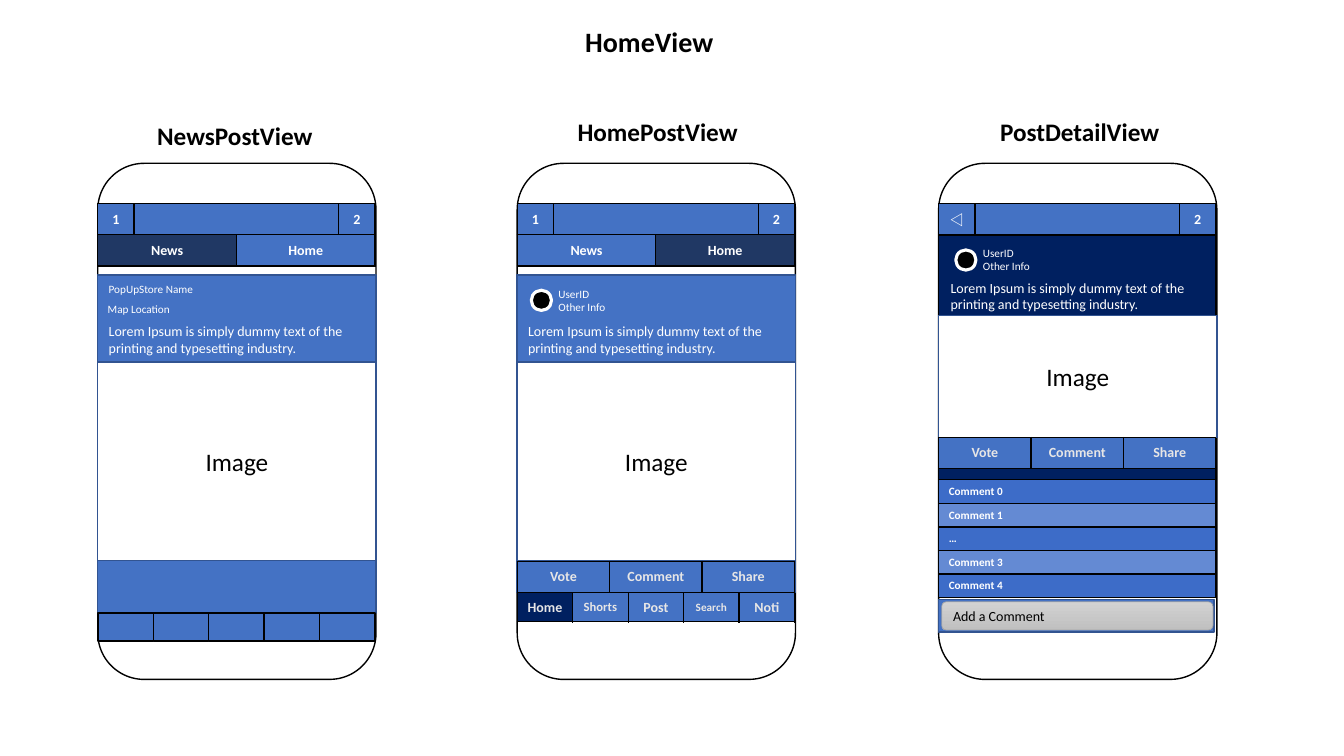
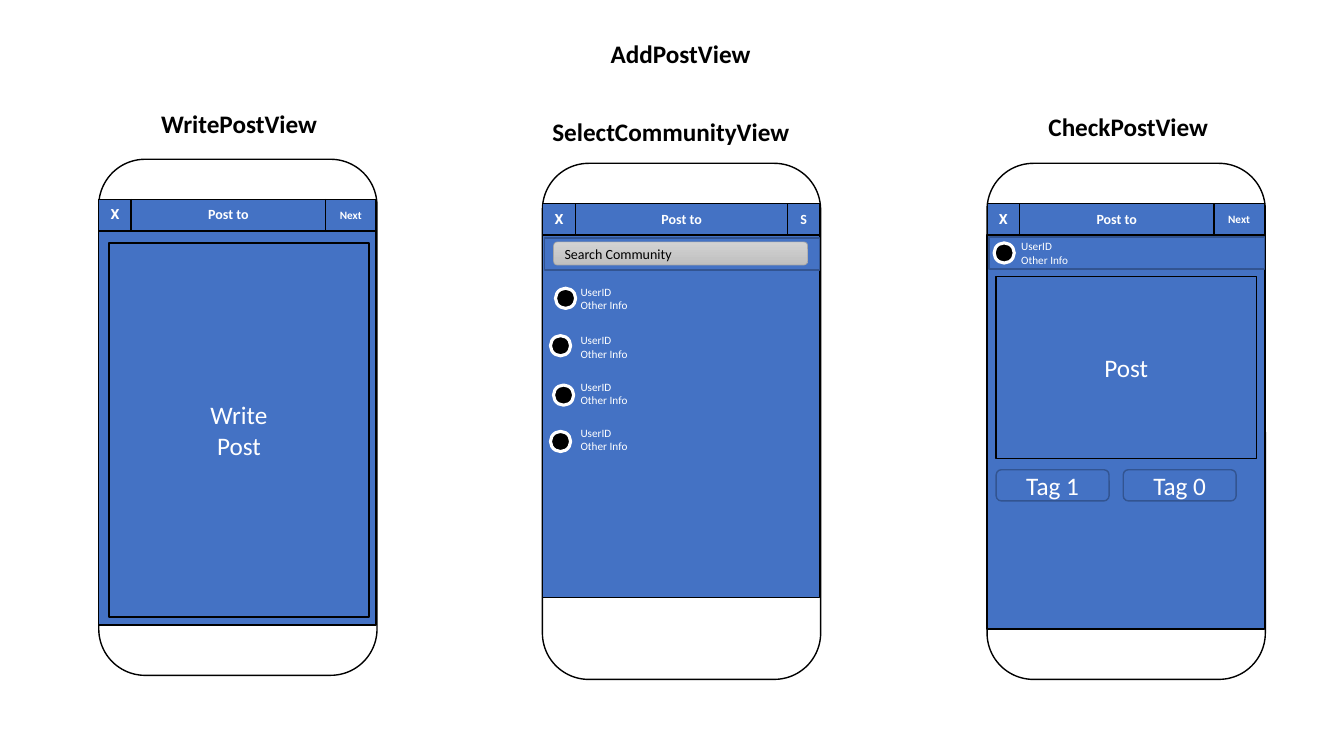
"""Build two slides of phone wireframes: the home views and the add-post views."""
from lxml import etree
from pptx import Presentation
from pptx.dml.color import RGBColor
from pptx.enum.shapes import MSO_SHAPE
from pptx.enum.text import MSO_ANCHOR, MSO_AUTO_SIZE, PP_ALIGN
from pptx.oxml.ns import qn
from pptx.util import Inches, Pt

RECT, ROUND, OVAL = MSO_SHAPE.RECTANGLE, MSO_SHAPE.ROUNDED_RECTANGLE, MSO_SHAPE.OVAL
LEFT, CENTER = PP_ALIGN.LEFT, PP_ALIGN.CENTER
TOP, MIDDLE = MSO_ANCHOR.TOP, MSO_ANCHOR.MIDDLE
GROW = MSO_AUTO_SIZE.SHAPE_TO_FIT_TEXT

WHITE, BLACK = RGBColor(255, 255, 255), RGBColor(0, 0, 0)
BLUE, EDGE = RGBColor(0x44, 0x72, 0xC4), RGBColor(0x32, 0x54, 0x91)
DEEP, NAVY = RGBColor(0x20, 0x38, 0x64), RGBColor(0x00, 0x20, 0x60)
PALE = RGBColor(0xE7, 0xE6, 0xE6)
ROW_DARK, ROW_LIGHT = RGBColor(0x3D, 0x6C, 0xC8), RGBColor(0x64, 0x8A, 0xD3)
FIELD_TOP, FIELD_BOTTOM = RGBColor(0xD2, 0xD2, 0xD2), RGBColor(0xC0, 0xC0, 0xC0)
FIELD_EDGE = RGBColor(0xA5, 0xA5, 0xA5)

FONT, BUTTON_FONT, SYMBOL_FONT = "Calibri", "Roboto", "Noto Sans CJK KR"
PHONE_W, PHONE_H, SCREEN_W = 2.76, 5.12, 2.75
BAR_Y, BAR_H, BODY_Y = 0.4, 0.31, 0.71
LOREM = "Lorem Ipsum is simply dummy text of the printing and typesetting industry."
USER = "UserID\nOther Info"
ACTIONS = ["Vote", "Comment", "Share"]
NAVIGATION = [("Home", 10), ("Shorts", 9), ("Post", 10), ("Search", 8), ("Noti", 10)]
COMMENTS = ["Comment 0", "Comment 1", "…", "Comment 3", "Comment 4"]
HOME_COLUMNS, POST_COLUMNS, PICK_COLUMNS = (0.36, 2.03, 0.36), (0.32, 1.93, 0.5), (0.33, 2.1, 0.32)
COMMUNITIES = [(0.13, 1.24), (0.08, 1.71), (0.11, 2.2), (0.08, 2.66)]
COMMUNITY_TEXT_Y = [1.16, 1.64, 2.1, 2.56]
TAGS = ["Tag 1", "Tag 0"]


def write(frame, text, size, color, bold=False, align=LEFT, font=FONT):
    """Fill a text frame, one paragraph per line of text."""
    for index, line in enumerate(text.split("\n")):
        para = frame.add_paragraph() if index else frame.paragraphs[0]
        para.alignment = align
        if not line:
            etree.SubElement(para._p, qn("a:endParaRPr"), sz=str(size * 100))
            continue
        span = para.add_run()
        span.text = line
        span.font.name, span.font.size = font, Pt(size)
        span.font.bold, span.font.color.rgb = bold, color


def cell(text, fill=BLUE, size=10, color=WHITE, font=FONT, align=CENTER):
    """Describe one table cell."""
    return {"text": text, "fill": fill, "size": size, "color": color,
            "font": font, "align": align}


def add_title(page, text, size, left, top, width, height):
    """Place and format the slide title."""
    title = page.shapes.title
    title.left, title.top, title.width, title.height = map(Inches, (left, top, width, height))
    frame = title.text_frame
    frame.word_wrap, frame.auto_size, frame.vertical_anchor = False, GROW, TOP
    write(frame, text, size, BLACK, True, CENTER)


class Phone:
    """A phone frame whose parts are placed from its top left corner."""

    def __init__(self, page, left, top, caption, caption_x, caption_y, caption_w):
        self.page, self.left, self.top = page, left, top
        self.shape(ROUND, 0, 0, PHONE_W, PHONE_H, WHITE, BLACK)
        self.label(caption, caption_x, caption_y, caption_w, 0.4, 18, BLACK, True)

    def place(self, x, y, width, height):
        return [Inches(n) for n in (self.left + x, self.top + y, width, height)]

    def shape(self, kind, x, y, width, height, fill, edge, weight=1.0):
        box = self.page.shapes.add_shape(kind, *self.place(x, y, width, height))
        box.shadow.inherit = False
        box.fill.solid()
        box.fill.fore_color.rgb = fill
        box.line.color.rgb, box.line.width = edge, Pt(weight)
        return box

    def panel(self, kind, x, y, width, height, text, fill, edge, color=WHITE):
        box = self.shape(kind, x, y, width, height, fill, edge)
        box.text_frame.vertical_anchor = MIDDLE
        write(box.text_frame, text, 18, color, align=CENTER)

    def label(self, text, x, y, width, height, size=8, color=WHITE, bold=False, wrap=False):
        box = self.page.shapes.add_textbox(*self.place(x, y, width, height))
        box.text_frame.word_wrap, box.text_frame.auto_size = wrap, GROW
        write(box.text_frame, text, size, color, bold)

    def user(self, dot_x, dot_y, text_x, text_y):
        self.shape(OVAL, dot_x, dot_y, 0.2, 0.2, BLACK, WHITE, 2.25)
        self.label(USER, text_x, text_y, 0.67, 0.37)

    def field(self, text, x, y, width, height):
        box = self.shape(ROUND, x, y, width, height, FIELD_TOP, FIELD_EDGE, 0.5)
        box.fill.gradient()
        box.fill.gradient_angle = 270
        for stop, color in zip(box.fill.gradient_stops, (FIELD_TOP, FIELD_BOTTOM)):
            stop.color.rgb = color
        box.text_frame.vertical_anchor = MIDDLE
        write(box.text_frame, text, 10, BLACK)

    def grid(self, y, rows, widths, row_height=BAR_H):
        size = self.place(0, y, sum(widths), row_height * len(rows))
        table = self.page.shapes.add_table(len(rows), len(widths), *size).table
        table.first_row = table.horz_banding = False
        for column, width in zip(table.columns, widths):
            column.width = Inches(width)
        for r, row in enumerate(rows):
            table.rows[r].height = Inches(row_height)
            for c, item in enumerate(row):
                spot = table.cell(r, c)
                spot.vertical_anchor = MIDDLE
                spot.margin_top = spot.margin_bottom = Inches(0.03)
                spot.margin_left = spot.margin_right = Inches(0.05 if item["align"] == CENTER else 0.1)
                write(spot.text_frame, item["text"], item["size"], item["color"],
                      True, item["align"], item["font"])
                for side in ("lnL", "lnR", "lnT", "lnB"):
                    border = etree.SubElement(spot._tc.get_or_add_tcPr(), qn("a:" + side), w="12700")
                    paint = etree.SubElement(border, qn("a:solidFill"))
                    etree.SubElement(paint, qn("a:srgbClr"), val=str(BLACK))
                spot.fill.solid()
                spot.fill.fore_color.rgb = item["fill"]

    def bar(self, cells, widths):
        self.grid(BAR_Y, [cells], widths)

    def tabs(self, active):
        row = [cell(name, DEEP if name == active else BLUE) for name in ("News", "Home")]
        self.grid(BODY_Y, [row], [SCREEN_W / 2] * 2)

    def actions(self, y):
        self.grid(y, [[cell(name, color=PALE) for name in ACTIONS]], [SCREEN_W / 3] * 3)

    def image(self, y, height):
        self.panel(RECT, 0, y, PHONE_W, height, "Image", WHITE, EDGE, BLACK)

    def post_text(self, y, x=0.01):
        self.label(LOREM, x, y, 2.74, 0.44, 10, wrap=True)


def build_home(page):
    """Draw the three home views."""
    add_title(page, "HomeView", 20, 5.7, 0.19, 1.48, 0.44)

    news = Phone(page, 0.97, 1.62, "NewsPostView", 0.49, -0.48, 1.75)
    news.bar([cell("1"), cell(""), cell("2")], HOME_COLUMNS)
    news.tabs("News")
    news.shape(RECT, 0, 1.11, PHONE_W, 3.35, BLUE, EDGE)
    news.label("PopUpStore Name", 0.01, 1.13, 1.07, 0.24)
    news.label("Map Location", 0, 1.33, 0.85, 0.24)
    news.post_text(1.53)
    news.image(1.97, 1.97)
    for index in range(5):
        news.shape(RECT, index * SCREEN_W / 5, 4.46, SCREEN_W / 5, 0.28, BLUE, BLACK)

    home = Phone(page, 5.13, 1.62, "HomePostView", 0.5, -0.51, 1.8)
    home.bar([cell("1"), cell(""), cell("2")], HOME_COLUMNS)
    home.tabs("Home")
    home.shape(RECT, 0, 1.11, PHONE_W, 3.15, BLUE, EDGE)
    home.user(0.14, 1.26, 0.31, 1.18)
    home.post_text(1.53)
    home.image(1.97, 1.97)
    home.actions(3.95)
    links = [cell(name, NAVY if name == "Home" else BLUE, size, PALE) for name, size in NAVIGATION]
    home.grid(4.26, [links], [SCREEN_W / 5] * 5, 0.29)

    detail = Phone(page, 9.31, 1.62, "PostDetailView", 0.51, -0.52, 1.79)
    detail.bar([cell("◁", font=SYMBOL_FONT), cell(""), cell("2")], HOME_COLUMNS)
    detail.shape(RECT, 0, BODY_Y, SCREEN_W, 3.6, NAVY, BLACK)
    detail.user(0.17, 0.86, 0.34, 0.77)
    detail.post_text(1.1, 0.02)
    detail.image(1.51, 1.21)
    detail.actions(2.72)
    rows = [[cell(text, ROW_LIGHT if index % 2 else ROW_DARK, 8, align=LEFT)]
            for index, text in enumerate(COMMENTS)]
    detail.grid(3.14, rows, [SCREEN_W], 1.17 / len(rows))
    detail.shape(RECT, 0, 4.33, 2.73, 0.32, BLUE, EDGE)
    detail.field("Add a Comment", 0.03, 4.35, 2.69, 0.28)


def build_add_post(page):
    """Draw the three views for adding a post."""
    add_title(page, "AddPostView", 18, 5.95, 0.33, 1.6, 0.4)
    close, heading = cell("X", font=BUTTON_FONT), cell("Post to")
    following = cell("Next", size=8)

    writer = Phone(page, 0.98, 1.58, "WritePostView", 0.52, -0.55, 1.76)
    writer.bar([close, heading, following], POST_COLUMNS)
    writer.shape(RECT, 0, BODY_Y, SCREEN_W, 3.91, BLUE, BLACK)
    writer.panel(RECT, 0.1, 0.83, 2.58, 3.71, "Write\nPost", BLUE, BLACK)

    picker = Phone(page, 5.38, 1.62, "SelectCommunityView", 0, -0.51, 2.57)
    picker.bar([close, heading, cell("S")], PICK_COLUMNS)
    picker.shape(RECT, 0, BODY_Y, SCREEN_W, 3.6, BLUE, BLACK)
    picker.shape(RECT, 0.02, 0.74, 2.73, 0.32, BLUE, EDGE)
    picker.field("Search Community", 0.11, 0.78, 2.52, 0.23)
    for (dot_x, dot_y), text_y in zip(COMMUNITIES, COMMUNITY_TEXT_Y):
        picker.user(dot_x, dot_y, 0.28, text_y)

    check = Phone(page, 9.79, 1.62, "CheckPostView", 0.51, -0.56, 1.85)
    check.bar([close, heading, following], POST_COLUMNS)
    check.shape(RECT, 0, BODY_Y, SCREEN_W, 3.91, BLUE, BLACK)
    check.shape(RECT, 0.02, 0.73, 2.73, 0.32, BLUE, EDGE)
    check.user(0.07, 0.79, 0.24, 0.71)
    check.panel(RECT, 0.09, 1.12, 2.58, 1.81, "Post", BLUE, BLACK)
    for index, tag in enumerate(TAGS):
        check.panel(ROUND, 0.09 + index * 1.26, 3.04, 1.12, 0.31, tag, BLUE, EDGE)


def main():
    """Create and save the deck."""
    deck = Presentation()
    deck.slide_width, deck.slide_height = Inches(13.33), Inches(7.5)
    for build in (build_home, build_add_post):
        build(deck.slides.add_slide(deck.slide_layouts[5]))
    deck.save("out.pptx")


if __name__ == "__main__":
    main()
